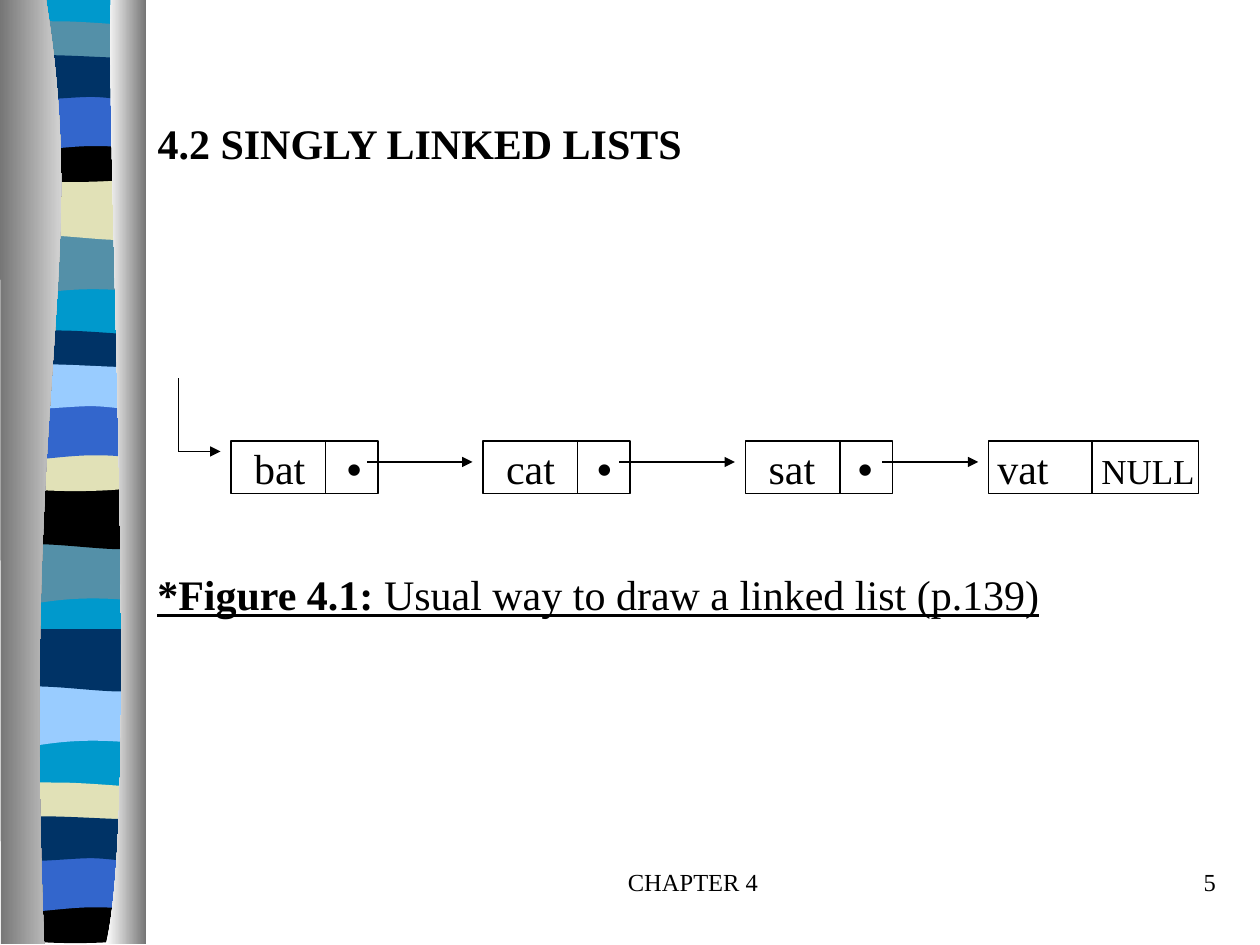
from lxml import etree
from pptx import Presentation
from pptx.dml.color import RGBColor
from pptx.enum.shapes import MSO_CONNECTOR, MSO_SHAPE
from pptx.enum.text import MSO_ANCHOR, MSO_AUTO_SIZE, PP_ALIGN
from pptx.oxml.ns import qn
from pptx.util import Pt

STRAIGHT = MSO_CONNECTOR.STRAIGHT
RECTANGLE = MSO_SHAPE.RECTANGLE
TOP = MSO_ANCHOR.TOP
NO_AUTOSIZE = MSO_AUTO_SIZE.NONE
LEFT, CENTER, RIGHT = PP_ALIGN.LEFT, PP_ALIGN.CENTER, PP_ALIGN.RIGHT

THEME = {
    "font": "Times New Roman", "dot_font": "Arial",
    "body": Pt(24), "null": Pt(20), "footer": Pt(14), "line": Pt(0.75),
    "black": RGBColor(0, 0, 0), "cyan": RGBColor(0x00, 0x99, 0xCC),
    "teal": RGBColor(0x54, 0x90, 0xA8), "sand": RGBColor(0xE1, 0xE1, 0xB7),
    "blue": RGBColor(0x33, 0x66, 0xCC), "navy": RGBColor(0x00, 0x33, 0x66),
    "sky": RGBColor(0x99, 0xCC, 0xFF), "gray": RGBColor(0x76, 0x76, 0x76),
    "white": RGBColor(0xFF, 0xFF, 0xFF),
}

prs = Presentation()
prs.slide_width, prs.slide_height = Pt(720), Pt(540)
s = prs.slides.add_slide(prs.slide_layouts[5])


def add_text(sp, box, runs, size, align=LEFT, inset=7.2):
    sp.left, sp.top, sp.width, sp.height = (Pt(v) for v in box)
    tf = sp.text_frame
    tf.word_wrap, tf.auto_size, tf.vertical_anchor = True, NO_AUTOSIZE, TOP
    tf.margin_left = Pt(inset)
    p = tf.paragraphs[0]
    p.alignment = align
    for text in runs:
        p.add_run().text = text
    p.font.name, p.font.size = THEME["font"], size
    p.font.color.rgb = THEME["black"]
    return p


def add_line(x1, y1, x2, y2, arrow=False):
    sp = s.shapes.add_connector(STRAIGHT, Pt(x1), Pt(y1), Pt(x2), Pt(y2))
    sp.line.color.rgb, sp.line.width = THEME["black"], THEME["line"]
    if arrow:
        etree.SubElement(sp.line._get_or_add_ln(), qn("a:tailEnd"), type="triangle")
    etree.SubElement(sp._element.spPr, qn("a:effectLst"))


L, R = 4, 82
BANDS = {
    "wave": [(R, 133), (R, 167), (28, 161, 17, 173, L, 167), (L, 133)],
    "swell": [(R, 101.5), (R, 135.4), (69, 141, 28, 131, L, 135.4), (L, 101.5)],
    "thin": [(R, 15), (R, 32.4), (69, 35.3, 17, 35.3, L, 32.4), (L, 15),
             (8.6, 11.5, 21, 12.2, 33.8, 12.2), (46.8, 12.2, 72, 14.4, R, 15)],
    "bowl": [(R, 77.8), (R, 100.8), (69, 105, 17, 105, L, 100.8), (L, 77.8),
             (51.8, 81.4, 65.5, 77.8, R, 77.8)],
    "arch": [(R, 53.3), (R, 87), (69.8, 83.5, 64.8, 83.5, 51.8, 83.5),
             (38.9, 83.5, 15.8, 87, L, 87), (L, 53.3)],
    "ripple": [(R, 33), (R, 55.4), (77, 59, 64.8, 55.4, 51.8, 55.4),
               (38.9, 55.4, 12.2, 59, L, 55.4), (L, 33),
               (15, 29.5, 57, 33, 69.8, 33), (82.8, 33, 79.2, 33, R, 33)],
}
REPEATS = [
    (0, {"wave": "teal", "swell": "sand", "thin": "teal",
         "bowl": "black", "arch": "blue", "ripple": "navy"}),
    (176.7, {"wave": "teal", "swell": "black", "thin": "navy",
             "bowl": "sand", "arch": "blue", "ripple": "sky"}),
    (258, {"wave": "sky", "swell": "navy"}),
    (435, {"thin": "sand", "bowl": "black", "arch": "blue", "ripple": "navy"}),
]
outlines = [([(R, -0.5), (R, 538), (L, 538), (L, -0.5)], 0, ["cyan"])]
outlines += [(BANDS[name], dy, [color])
             for dy, colors in REPEATS for name, color in colors.items()]
outlines += [
    ([(26.2, -0.5), (51.5, 155.5, 12.2, 213, 25.2, 539.5), (0.5, 539.5), (0, -0.5)],
     0, ["gray", "white"]),
    ([(63.4, -0.5), (60.5, 90, 80, 465, 60.5, 539.5), (83.5, 539.5), (83.5, 0)],
     0, ["white", "gray"]),
]
for segments, dy, colors in outlines:
    points = [(Pt(seg[i]), Pt(seg[i + 1] + dy))
              for seg in segments for i in range(0, len(seg), 2)]
    fb = s.shapes.build_freeform(*points[0], scale=1.0)
    fb.add_line_segments(points[1:], close=True)
    sp = fb.convert_to_shape()
    lines = iter(list(sp._element.iter(qn("a:lnTo"))))
    for seg in segments[1:]:
        line = next(lines)
        if len(seg) == 6:
            curve = etree.Element(qn("a:cubicBezTo"))
            line.addprevious(curve)
            for part in (line, next(lines), next(lines)):
                curve.append(part[0])
                part.getparent().remove(part)
    sp.shadow.inherit = False
    sp.line.fill.background()
    if len(colors) == 1:
        sp.fill.solid()
        sp.fill.fore_color.rgb = THEME[colors[0]]
    else:
        sp.fill.gradient()
        sp.fill.gradient_angle = 0
        for stop, color in zip(sp.fill.gradient_stops, colors):
            stop.color.rgb = THEME[color]

p = add_text(s.shapes.title, (82.8, 63.4, 317, 36),
             ["4.2 SINGLY LINKED LISTS"], THEME["body"])
p.font.bold = True

NODE_TOP, NODE_HEIGHT, ARROW_Y = 252, 30, 264
nodes = [
    ("bat", "•", 132, 84, 54, 13.2, 53),
    ("cat", "•", 276, 84, 54, 13.2, 52),
    ("sat", "•", 426, 84, 54, 13.2, 51),
    ("vat", "NULL", 565, 120, 59, 4.9, 59.4),
]
for i, (word, link, x, width, divider, inset, tab) in enumerate(nodes):
    sp = s.shapes.add_shape(RECTANGLE, Pt(x), Pt(NODE_TOP), Pt(width), Pt(NODE_HEIGHT))
    sp.shadow.inherit = False
    sp.fill.background()
    sp.line.color.rgb, sp.line.width = THEME["black"], THEME["line"]
    add_line(x + divider, NODE_TOP, x + divider, NODE_TOP + NODE_HEIGHT)
    if i < len(nodes) - 1:
        add_line(x + 78, ARROW_Y, nodes[i + 1][2] - 6, ARROW_Y, arrow=True)

    sp = s.shapes.add_textbox(0, 0, 0, 0)
    p = add_text(sp, (x, 249.4, width + 4, 36), [word + "\t", link],
                 THEME["body"], inset=inset)
    sp.text_frame.margin_right = 0
    tabs = etree.Element(qn("a:tabLst"))
    etree.SubElement(tabs, qn("a:tab"), pos=str(Pt(tab)), algn="l")
    p._p.get_or_add_pPr().insert(0, tabs)
    r = p.runs[1]
    if link == "NULL":
        r.font.size = THEME["null"]
    else:
        r.font.name = THEME["dot_font"]

add_line(102, 216, 102, 258)
add_line(102, 258, 126, 258, arrow=True)

p = add_text(s.shapes.add_textbox(0, 0, 0, 0), (82.8, 321.5, 522, 36),
             ["*Figure 4.1: ", "Usual way to draw a linked list (p.139)"], THEME["body"])
p.font.underline = True
p.runs[0].font.bold = True

for text, x, width, align in (("CHAPTER 4", 282, 228, CENTER), ("5", 552, 150, RIGHT)):
    add_text(s.shapes.add_textbox(0, 0, 0, 0), (x, 492, width, 36),
             [text], THEME["footer"], align)

prs.save("out.pptx")
